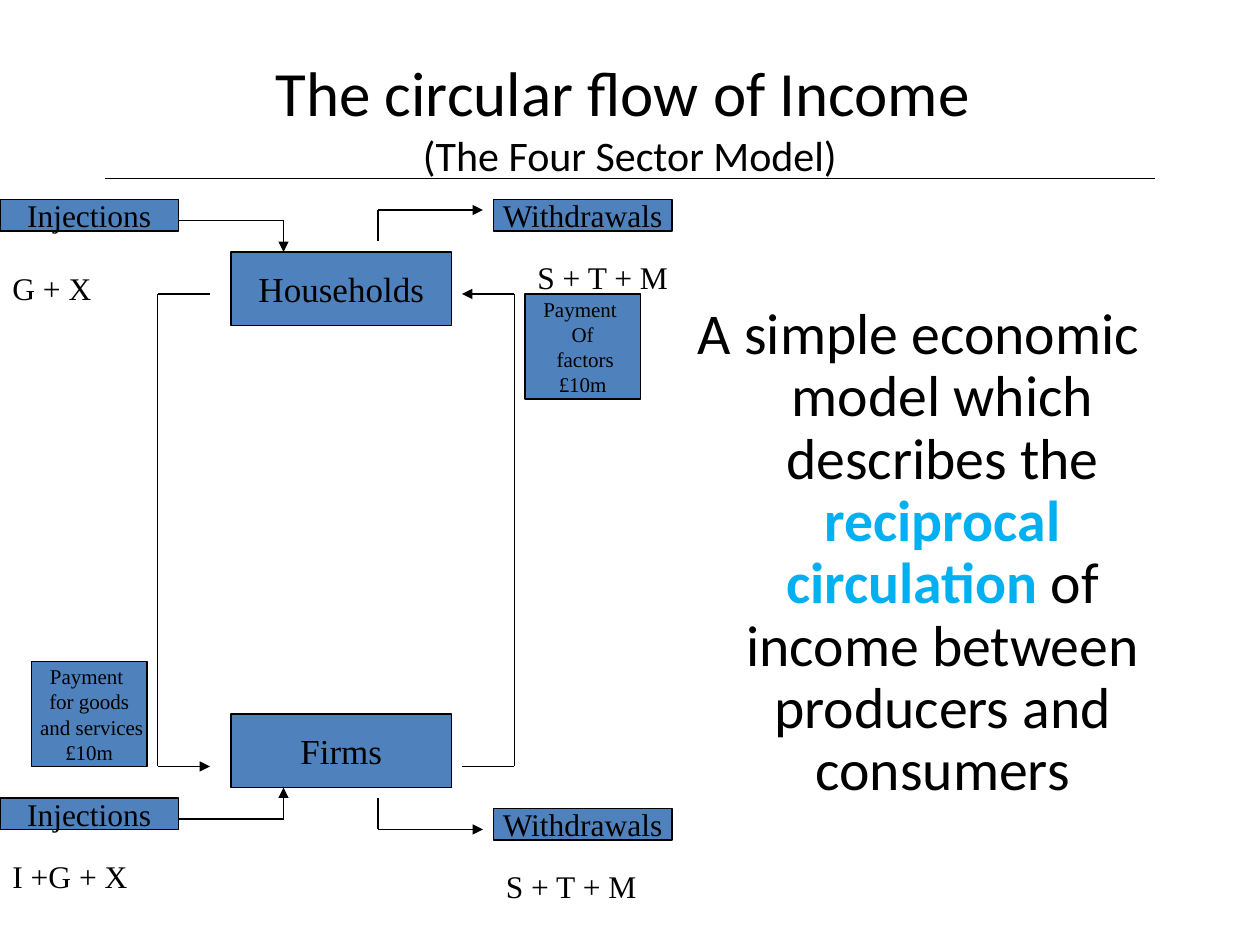
from itertools import pairwise

from lxml.etree import SubElement
from pptx import Presentation
from pptx.dml.color import RGBColor
from pptx.enum.shapes import MSO_CONNECTOR, MSO_SHAPE
from pptx.enum.text import MSO_ANCHOR, PP_ALIGN
from pptx.oxml.ns import qn
from pptx.util import Inches, Pt

COLORS = {"ink": "000000", "box": "4F81BD", "accent": "00B0F0"}
SANS, SERIF = "Calibri", "Times New Roman"
COLS, ROWS = 120, 90  # grid of the whole slide
CELL = Inches(10) / COLS


def cells(*counts):
    return [round(n * CELL) for n in counts]


def color(name):
    return RGBColor.from_string(COLORS[name])


def style(font, size, name=SERIF, ink="ink"):
    font.size, font.name = Pt(size), name
    font.color.rgb = color(ink)


def text_box(s, box):
    tf = s.shapes.add_textbox(*cells(*box)).text_frame
    tf.word_wrap = True
    return tf


def route(s, origin, points, arrow=True):
    """Straight lines through the points, with an arrowhead at the last one."""
    x, y = origin
    for (x1, y1), (x2, y2) in pairwise(points):
        line = s.shapes.add_connector(
            MSO_CONNECTOR.STRAIGHT, *cells(x + x1, y + y1, x + x2, y + y2))
        line.line.color.rgb = color("ink")
        line.line.width = Pt(0.75)
        SubElement(line._element.spPr, qn("a:effectLst"))
    if arrow:
        SubElement(line.line._get_or_add_ln(), qn("a:tailEnd"), type="triangle")


def node(s, box, lines, size):
    sp = s.shapes.add_shape(MSO_SHAPE.RECTANGLE, *cells(*box))
    sp.shadow.inherit = False
    sp.fill.solid()
    sp.fill.fore_color.rgb = color("box")
    sp.line.color.rgb = color("ink")
    sp.line.width = Pt(0.75)
    tf = sp.text_frame
    tf.word_wrap = False
    tf.vertical_anchor = MSO_ANCHOR.MIDDLE
    tf.text = "\n".join(lines)
    for p in tf.paragraphs:
        p.alignment = PP_ALIGN.CENTER
        style(p.font, size)


def label(s, box, text):
    tf = text_box(s, box)
    tf.text = text
    p = tf.paragraphs[0]
    p.space_before = Pt(11.2)
    style(p.font, 18)


def heading(s, box):
    x, y, w, h = box
    tf = text_box(s, box)
    tf.vertical_anchor = MSO_ANCHOR.MIDDLE
    p = tf.paragraphs[0]
    p.alignment = PP_ALIGN.CENTER
    r = p.add_run()
    r.text = "The circular flow of Income "
    style(r.font, 36, SANS)
    p.add_line_break()
    r = p.add_run()
    r.text = "(The Four Sector Model)"
    style(r.font, 24, SANS)
    rule_y = h - 1.6
    route(s, (x, y), [(4, rule_y), (w - 4, rule_y)], arrow=False)


def definition(s, box):
    tf = text_box(s, box)
    tf.margin_top = cells(8)[0]
    p = tf.paragraphs[0]
    p.alignment = PP_ALIGN.CENTER
    p.line_spacing = 0.9
    pPr = p._p.get_or_add_pPr()
    pPr.set("marL", str(Inches(0.38)))
    pPr.set("indent", str(Inches(-0.38)))
    for text, ink in (
        ("A simple economic model which describes the ", "ink"),
        ("reciprocal circulation ", "accent"),
        ("of income between producers and consumers", "ink"),
    ):
        r = p.add_run()
        r.text = text
        style(r.font, 33, SANS, ink)
        r.font.bold = ink == "accent"


def circular_flow(s, origin):
    x, y = origin
    for points in (
        [(20, 9), (15, 9), (15, 54), (20, 54)],  # households to firms
        [(44, 54), (49, 54), (49, 9), (44, 9)],  # firms to households
        [(17, 2), (27, 2), (27, 5)],             # injections
        [(17, 59), (27, 59), (27, 56)],
        [(36, 4), (36, 1), (46, 1)],             # withdrawals
        [(36, 57), (36, 60), (46, 60)],
    ):
        route(s, origin, points)

    sector, payment, leak = (21, 7, 20), (11, 10, 12), (17, 3, 18)
    for col, row, (w, h, size), lines in (
        (22, 5, sector, ["Households"]),
        (22, 49, sector, ["Firms"]),
        (50, 9, payment, ["Payment ", "Of", " factors", "£10m"]),
        (3, 44, payment, ["Payment ", "for goods", " and services", "£10m"]),
        (0, 0, leak, ["Injections"]),
        (0, 57, leak, ["Injections"]),
        (47, 0, leak, ["Withdrawals"]),
        (47, 58, leak, ["Withdrawals"]),
    ):
        node(s, (x + col, y + row, w, h), lines, size)

    for col, row, w, text in (
        (0, 6, 13, "G + X"),
        (0, 62, 15, "I +G + X"),
        (50, 5, 16, "S + T + M"),
        (47, 63, 17, "S + T + M"),
    ):
        label(s, (x + col, y + row, w, 4.8), text)


def main():
    prs = Presentation()
    prs.slide_width, prs.slide_height = cells(COLS, ROWS)
    s = prs.slides.add_slide(prs.slide_layouts[6])
    heading(s, (6, 3.6, 108, 15))
    definition(s, (61, 21, 53, 59.4))
    circular_flow(s, (0, 19))
    prs.save("out.pptx")


if __name__ == "__main__":
    main()
